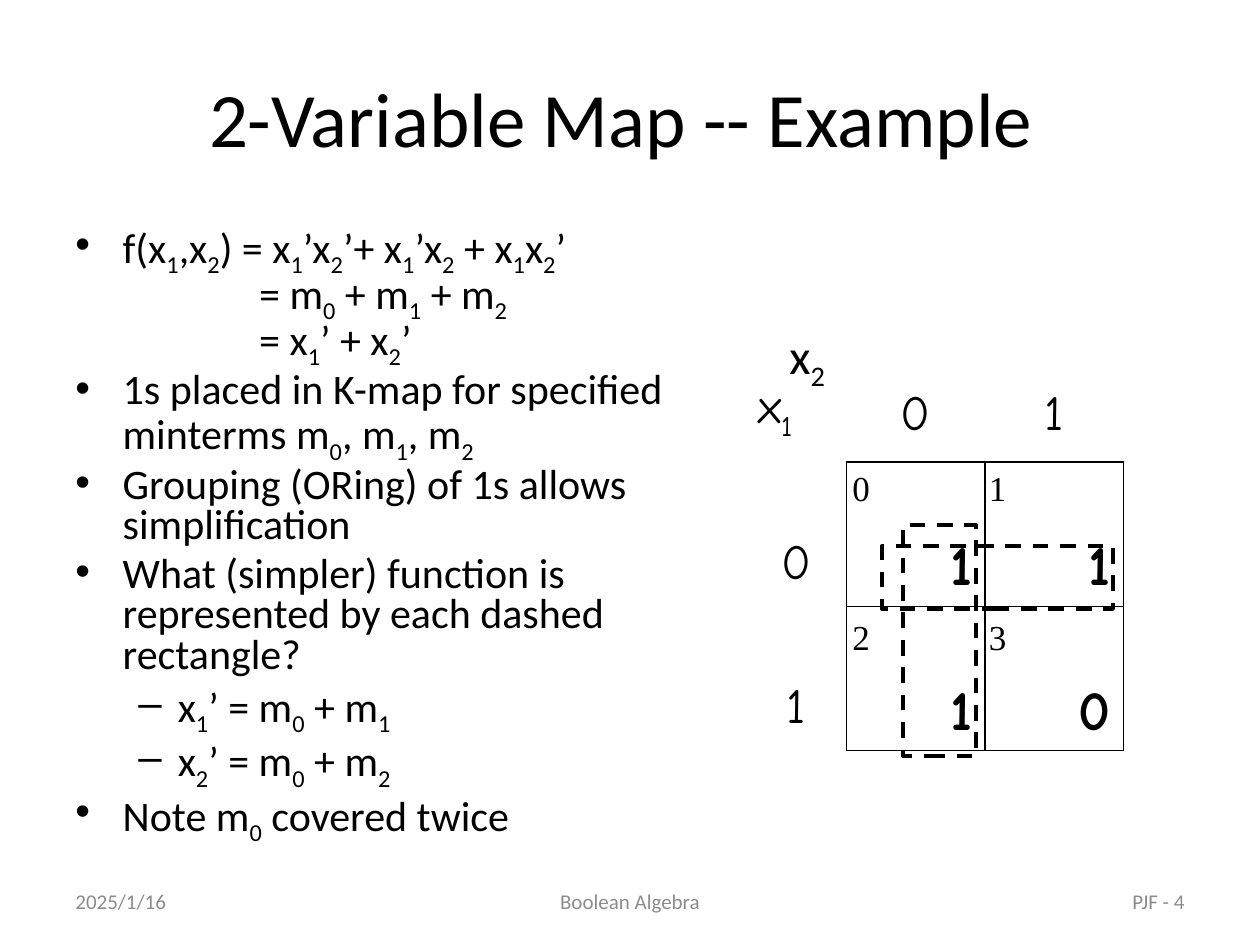
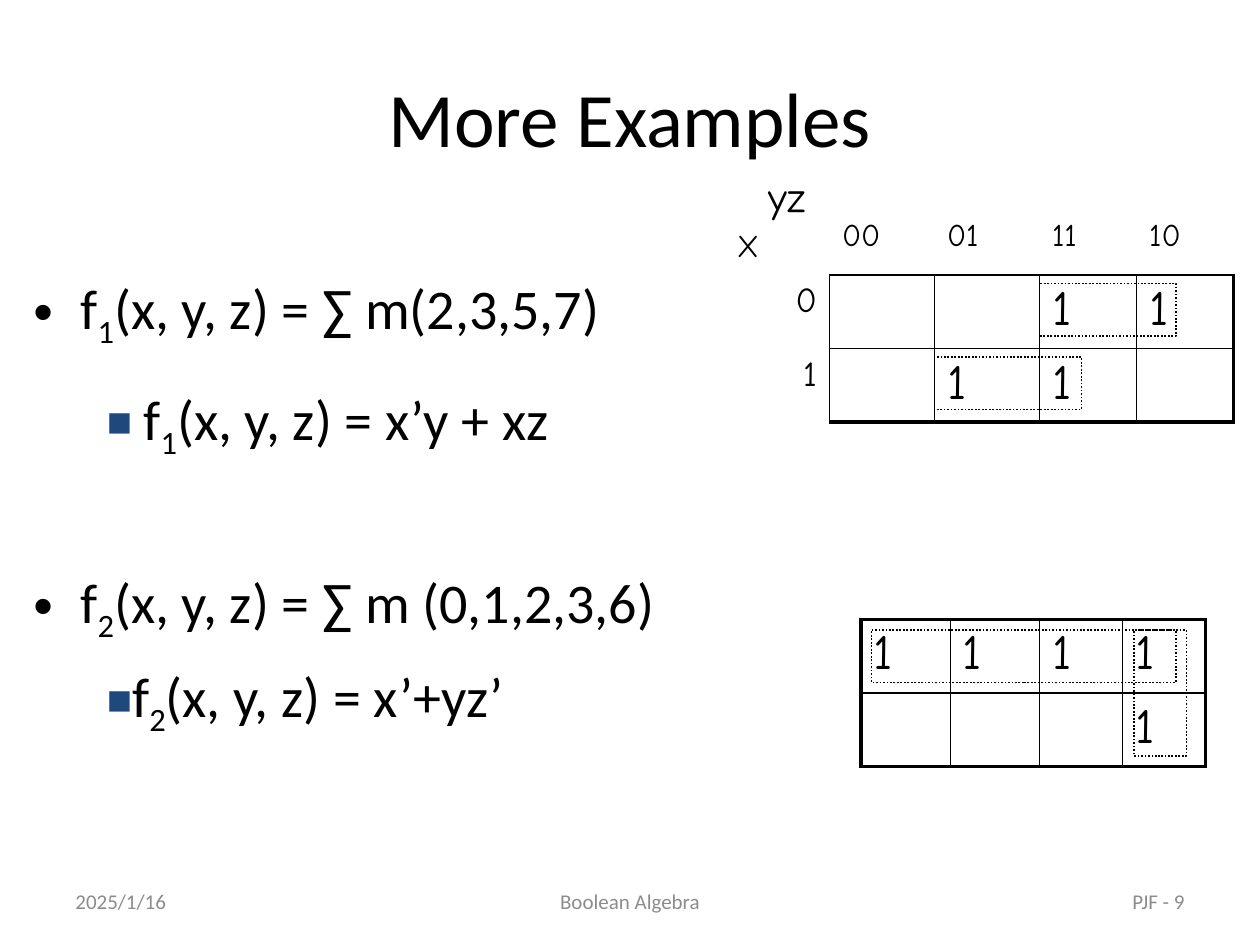
from dataclasses import dataclass, field
from typing import NamedTuple

from lxml.etree import SubElement as sub
from pptx import Presentation as Deck
from pptx.dml.color import RGBColor as RGB
from pptx.enum.dml import MSO_LINE as Dash
from pptx.enum.shapes import MSO_SHAPE as Shape
from pptx.enum.text import MSO_ANCHOR as Anchor, PP_ALIGN as Align
from pptx.oxml.ns import qn
from pptx.util import Emu, Inches, Pt

BLACK = RGB(0x00, 0x00, 0x00)
GREY = RGB(0x8C, 0x8C, 0x8C)
NAVY = RGB(0x1F, 0x49, 0x7D)
SANS = "Calibri"
COMIC = "Comic Neue"
SERIF = "Times New Roman"
COLS, ROWS = 120, 90
WIDTH, HEIGHT = Inches(10), Inches(7.5)
SIDES = {"L": (0, -1), "R": (0, 1), "T": (-1, 0), "B": (1, 0)}
THIN, THICK = 1, 2.25


class Box(NamedTuple):
    left: float
    top: float
    wide: float
    high: float


class Mark(NamedTuple):
    row: int
    col: int
    text: str
    style: dict
    low: float = 0.0


@dataclass
class Map:
    left: float
    top: float
    cols: list[float]
    rows: list[float]
    head: int
    rim: str = ""
    marks: list[Mark] = field(default_factory=list)


def across(n: float) -> Emu:
    return Emu(round(WIDTH * n / COLS))


def down(n: float) -> Emu:
    return Emu(round(HEIGHT * n / ROWS))


def place(box: Box) -> tuple[Emu, Emu, Emu, Emu]:
    return across(box.left), down(box.top), across(box.wide), down(box.high)


def write(frame, text: str, *, size: float, font: str = SANS, color: RGB = BLACK,
          bold: bool = False, align: Align = Align.LEFT, left: float = 0,
          hang: float = 0, bullet: str = "", tint: RGB | None = None,
          before: float = 0, lead: float = 1) -> None:
    para = frame.paragraphs[0]
    if para.runs:
        para = frame.add_paragraph()
        para.space_before = Pt(before)
    para.alignment = align
    para.line_spacing = lead
    props = para._p.get_or_add_pPr()
    props.set("marL", str(across(left)))
    props.set("indent", str(-across(hang)))
    if tint:
        sub(sub(props, qn("a:buClr")), qn("a:srgbClr"), val=str(tint))
        sub(props, qn("a:buSzPct"), val="75000")
    if bullet:
        sub(props, qn("a:buFont"), typeface="Arial")
        sub(props, qn("a:buChar"), char=bullet)
    first, *rest = text.split("_")
    parts = [(first, False)]
    for part in rest:
        parts += [(part[0], True), (part[1:], False)]
    for part, lower in parts:
        if not part:
            continue
        run = para.add_run()
        run.text = part
        run.font.name, run.font.size, run.font.bold = font, Pt(size), bold
        run.font.color.rgb = color
        if lower:
            run._r.get_or_add_rPr().set("baseline", "-25000")


def frame(slide, box: Box, mid: bool = False, wrap: bool = True):
    body = slide.shapes.add_textbox(*place(box)).text_frame
    body.word_wrap = wrap
    body.vertical_anchor = Anchor.MIDDLE if mid else Anchor.TOP
    return body


def ring(slide, box: Box, width: float, dash: Dash) -> None:
    shape = slide.shapes.add_shape(Shape.RECTANGLE, *place(box))
    shape.shadow.inherit = False
    shape.fill.background()
    shape.line.color.rgb = BLACK
    shape.line.width = Pt(width)
    shape.line.dash_style = dash


def edge(cell, side: str, width: float) -> None:
    line = sub(cell._tc.get_or_add_tcPr(), qn(f"a:ln{side}"), w=str(Pt(width)))
    if width:
        sub(sub(line, qn("a:solidFill")), qn("a:srgbClr"), val=str(BLACK))
    else:
        sub(line, qn("a:noFill"))


def draw(slide, kmap: Map) -> None:
    rows, cols = len(kmap.rows), len(kmap.cols)
    box = Box(kmap.left, kmap.top, sum(kmap.cols), sum(kmap.rows))
    table = slide.shapes.add_table(rows, cols, *place(box)).table
    table.first_row = table.horz_banding = False
    for col, wide in zip(table.columns, kmap.cols):
        col.width = across(wide)
    for row, high in zip(table.rows, kmap.rows):
        row.height = down(high)

    def inside(r: int, c: int) -> bool:
        return kmap.head <= r < rows and kmap.head <= c < cols

    for r in range(rows):
        for c in range(cols):
            cell = table.cell(r, c)
            for side, (dr, dc) in SIDES.items():
                here, near = inside(r, c), inside(r + dr, c + dc)
                heavy = here and not near and side in kmap.rim
                edge(cell, side, THICK if heavy else THIN if here or near else 0)
            cell.fill.background()
    for mark in kmap.marks:
        cell = table.cell(mark.row, mark.col)
        if mark.low:
            cell.vertical_anchor = Anchor.BOTTOM
            cell.margin_bottom = down(mark.low)
        write(cell.text_frame, mark.text, font=COMIC, **mark.style)


def start(deck, title: str, page: int):
    slide = deck.slides.add_slide(deck.slide_layouts[6])
    write(frame(slide, Box(6, 3.6, 108, 15), mid=True), title,
          size=44, align=Align.CENTER)
    feet = [(6, 28, "2025/1/16", Align.LEFT),
            (41, 38, "Boolean Algebra", Align.CENTER),
            (86, 28, f"PJF - {page}", Align.RIGHT)]
    for left, wide, text, align in feet:
        write(frame(slide, Box(left, 83.4, wide, 4.8), mid=True), text,
              size=12, color=GREY, align=align)
    return slide


def pair(deck) -> None:
    slide = start(deck, "2-Variable Map -- Example ", 4)
    point = dict(left=4.5, hang=4.5, bullet="•", before=4.8)
    step = dict(left=17.5)
    dash = dict(left=9.75, hang=3.75, bullet="–", before=4.8)
    lines = [
        ("f(x_1,x_2) = x_1’x_2’+ x_1’x_2 + x_1x_2’", point),
        ("= m_0 + m_1 + m_2", step),
        ("= x_1’ + x_2’", step),
        ("1s placed in K-map for specified minterms m_0, m_1, m_2", point),
        ("Grouping (ORing) of 1s allows simplification", point),
        ("What (simpler) function is represented by each dashed rectangle?", point),
        ("x_1’ = m_0 + m_1", dash),
        ("x_2’ = m_0 + m_2", dash),
        ("Note m_0 covered twice", point),
    ]
    body = frame(slide, Box(6, 21, 63.5, 59.4))
    for text, style in lines:
        write(body, text, size=24, lead=0.8, **style)

    label = dict(size=28, align=Align.CENTER)
    value = dict(size=32, bold=True, align=Align.RIGHT)
    marks = [Mark(0, 0, "x_1", dict(size=28), 1.8)]
    for n in (1, 2):
        marks += [Mark(0, n, str(n - 1), label, 1.8),
                  Mark(n, 0, str(n - 1), label, 1.4)]
    marks += [Mark(1 + n // 2, 1 + n % 2, bit, value, 0.6)
              for n, bit in enumerate("1110")]
    draw(slide, Map(71, 30, [9.6, 13.2, 13.2], [14, 13.75, 13.75], 1, "", marks))

    write(frame(slide, Box(74, 30.4, 7, 6.8), wrap=False), "x_2", size=28)
    for n in range(4):
        spot = Box(80 + 13 * (n % 2), 43.8 + 14.2 * (n // 2), 4, 5.2)
        write(frame(slide, spot, wrap=False), str(n), size=20, font=SERIF)
    for box in (Box(86, 50, 7, 22), Box(84, 52, 22, 6)):
        ring(slide, box, THICK, Dash.DASH)


def more(deck) -> None:
    slide = start(deck, "More Examples", 9)
    body = frame(slide, Box(2, 25.5, 108, 59.4))
    for text in ("f_1(x, y, z) = ∑ m(2,3,5,7)", "f_2(x, y, z) = ∑ m (0,1,2,3,6)"):
        write(body, text, size=32, left=4.5, hang=4.5, bullet="•", before=124)
    for top, text, left in ((36, "f_1(x, y, z) = x’y + xz", 3.5),
                            (62.4, "f_2(x, y, z) = x’+yz’", 2.4)):
        write(frame(slide, Box(9, top, 55, 7.5)), text, size=32, left=left,
              hang=left, bullet="■", tint=NAVY)

    label = dict(size=20, align=Align.RIGHT)
    value = dict(size=28)
    marks = [Mark(0, 0, "yz", dict(size=24, left=3)),
             Mark(0, 0, "X", dict(size=18, before=3.6))]
    marks += [Mark(0, n, code, dict(size=18), 2)
              for n, code in enumerate(("00", "01", "11", "10"), 1)]
    marks += [Mark(n, 0, str(n - 1), label) for n in (1, 2)]
    marks += [Mark(r, c, "1", value) for r, c in ((1, 3), (1, 4), (2, 2), (2, 3))]
    draw(slide, Map(69, 16, [10, 10, 10, 9.25, 9.25], [10.2, 7, 7], 1, "RB", marks))

    ones = [Mark(r, c, "1", value) for r, c in ((0, 0), (0, 1), (0, 2), (0, 3), (1, 3))]
    draw(slide, Map(82, 59, [8.5, 8.5, 7.9, 7.9], [7, 7], 0, "LTRB", ones))

    for box in (Box(99, 27, 13, 5), Box(89, 34, 14, 5),
                Box(83, 60, 29, 5), Box(108, 60, 5, 12)):
        ring(slide, box, THIN, Dash.ROUND_DOT)


def main() -> None:
    deck = Deck()
    deck.slide_width, deck.slide_height = WIDTH, HEIGHT
    pair(deck)
    more(deck)
    deck.save("out.pptx")


if __name__ == "__main__":
    main()
